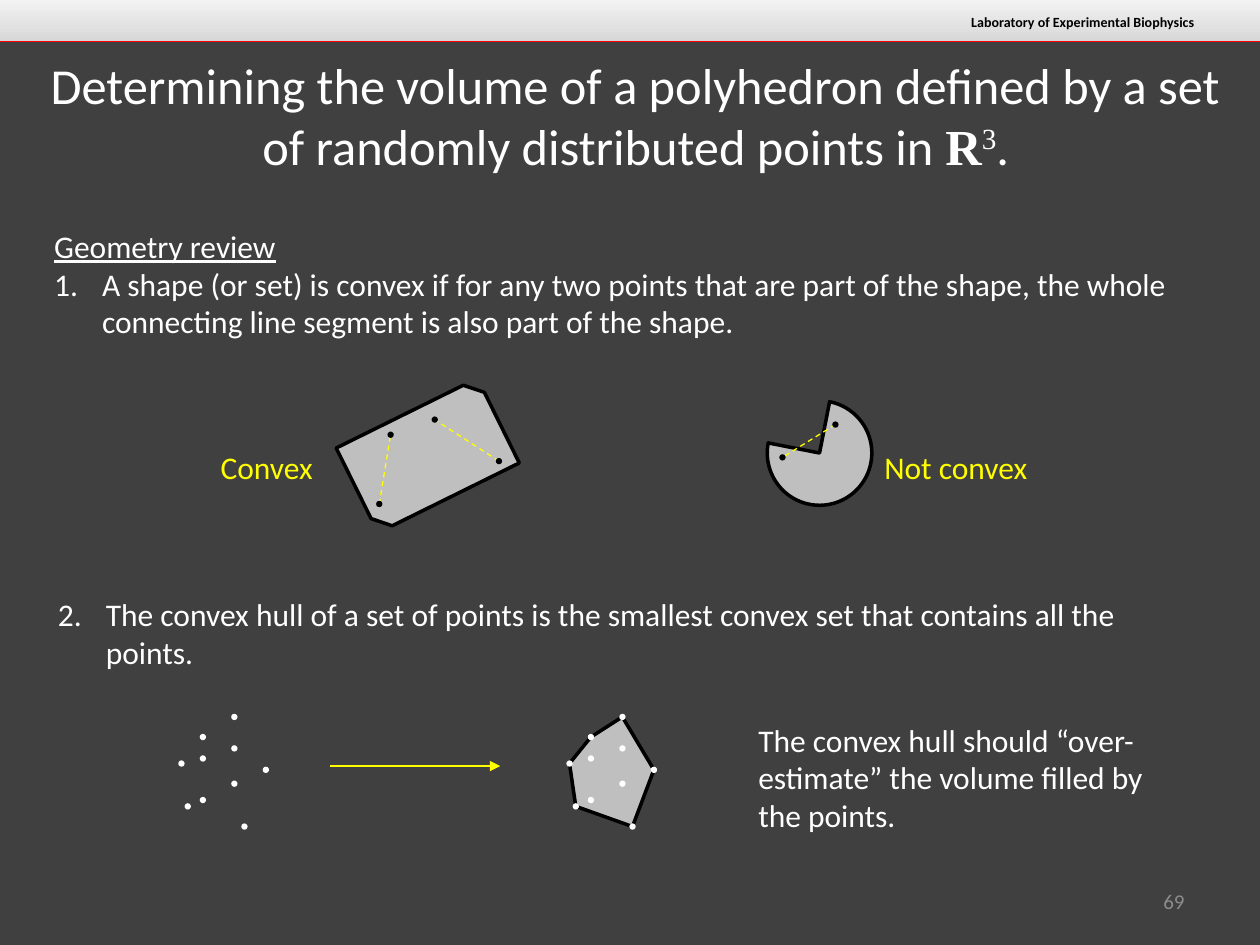
from pptx import Presentation
from pptx.dml.color import RGBColor
from pptx.enum.dml import MSO_LINE
from pptx.enum.shapes import MSO_CONNECTOR, MSO_SHAPE
from pptx.enum.text import MSO_ANCHOR, PP_ALIGN
from pptx.oxml import parse_xml
from pptx.oxml.ns import nsdecls, qn
from pptx.util import Inches, Pt

WHITE, BLACK, YELLOW, GRAY = "FFFFFF", "000000", "FFFF00", "BFBFBF"
CLOUD = [(1.44, 6.06), (1.61, 5.85), (1.86, 5.69), (2.11, 6.11), (1.94, 6.56),
         (1.49, 6.4), (1.86, 6.22), (1.61, 6.02), (1.86, 5.94), (1.61, 6.35)]
HULL_SIZE = 6
HULL_SHIFT = 3.08


def color(value):
    """Turn a hex string into a colour."""
    return RGBColor.from_string(value)


def element(tag, attributes="", content=""):
    """Build a DrawingML element."""
    return parse_xml(f'<a:{tag} {nsdecls("a")} {attributes}>{content}</a:{tag}>')


def place(shape, left, top, width, height):
    """Set the position and size of a shape."""
    shape.left, shape.top = Inches(left), Inches(top)
    shape.width, shape.height = Inches(width), Inches(height)


def add_run(paragraph, text, size=18, fill=WHITE, font="Calibri", bold=False):
    """Append a formatted run."""
    run = paragraph.add_run()
    run.text = text
    run.font.size = Pt(size)
    run.font.name = font
    run.font.bold = bold
    run.font.color.rgb = color(fill)
    return run


def add_label(slide, box, text, align=PP_ALIGN.LEFT, anchor=MSO_ANCHOR.TOP, **style):
    """Add a wrapped text box with one run."""
    shape = slide.shapes.add_textbox(*map(Inches, box))
    frame = shape.text_frame
    frame.word_wrap = True
    frame.vertical_anchor = anchor
    frame.paragraphs[0].alignment = align
    add_run(frame.paragraphs[0], text, **style)


def style_shape(shape, fill, outline=None):
    """Apply a flat fill and an optional outline."""
    shape.shadow.inherit = False
    shape.fill.solid()
    shape.fill.fore_color.rgb = color(fill)
    if outline:
        shape.line.color.rgb = color(outline)
        shape.line.width = Pt(2)
    else:
        shape.line.fill.background()


def add_figure(slide, kind, box, rotation):
    """Add a rotated gray preset shape."""
    shape = slide.shapes.add_shape(kind, *map(Inches, box))
    shape.rotation = rotation
    style_shape(shape, GRAY, BLACK)


def add_dot(slide, x, y, fill, diameter=0.05):
    """Add a dot centred on a point."""
    radius = diameter / 2
    box = (x - radius, y - radius, diameter, diameter)
    style_shape(slide.shapes.add_shape(MSO_SHAPE.OVAL, *map(Inches, box)), fill)


def add_line(slide, start, end, stroke, dashed=False, arrow=False):
    """Add a thin straight line."""
    line = slide.shapes.add_connector(MSO_CONNECTOR.STRAIGHT, *map(Inches, start + end))
    line.line.color.rgb = color(stroke)
    line.line.width = Pt(0.75)
    if dashed:
        line.line.dash_style = MSO_LINE.DASH
    if arrow:
        line.line._get_or_add_ln().append(element("tailEnd", 'type="triangle"'))
    line._element.spPr.append(element("effectLst"))


def add_segment(slide, start, end):
    """Add a dashed segment between two black dots."""
    add_line(slide, start, end, YELLOW, dashed=True)
    for point in (start, end):
        add_dot(slide, *point, BLACK)


def add_hull(slide, points):
    """Add a closed polygon through the points."""
    corners = [(Inches(x), Inches(y)) for x, y in points]
    builder = slide.shapes.build_freeform(*corners[0])
    builder.add_line_segments(corners[1:], close=True)
    style_shape(builder.convert_to_shape(), GRAY, BLACK)


def add_banner(slide):
    """Add the gradient banner with its caption and red rule."""
    banner = slide.shapes.add_shape(MSO_SHAPE.RECTANGLE, 0, 0, Inches(10), Inches(0.33))
    style_shape(banner, WHITE)
    banner.fill.gradient()
    banner.fill.gradient_angle = 90
    for stop, value, position in zip(banner.fill.gradient_stops, ("D8D8D8", "F2F2F2"), (0, 1)):
        stop.color.rgb = color(value)
        stop.position = position
    add_label(slide, (7.56, 0.06, 2.02, 0.24), "Laboratory of Experimental Biophysics",
              PP_ALIGN.RIGHT, size=8, fill=BLACK, bold=True)
    add_line(slide, (0, 0.33), (10, 0.33), "FF0000")


def fill_title(title):
    """Write the shadowed title."""
    place(title, 0.17, 0.38, 9.75, 0.62)
    title.text_frame.vertical_anchor = MSO_ANCHOR.TOP
    paragraph = title.text_frame.paragraphs[0]
    paragraph.alignment = PP_ALIGN.CENTER
    add_run(paragraph, "Determining the volume of a polyhedron defined by a set "
            "of randomly distributed points in ", 28.8)
    add_run(paragraph, "R", 28.8, font="Times New Roman", bold=True)
    exponent = add_run(paragraph, "3", 28.8, font="Times New Roman")
    exponent._r.get_or_add_rPr().set("baseline", "30000")
    add_run(paragraph, ".", 28.8)
    for run in paragraph.runs:
        shadow = element("effectLst", content='<a:outerShdw blurRad="38100" dist="38100" '
                         'dir="2700000"><a:srgbClr val="000000"><a:alpha val="60000"/>'
                         '</a:srgbClr></a:outerShdw>')
        run._r.get_or_add_rPr().find(qn("a:solidFill")).addnext(shadow)


def fill_list(body, box, text, number, heading=None):
    """Write a numbered item under an optional heading."""
    place(body, *box)
    frame = body.text_frame
    frame.vertical_anchor = MSO_ANCHOR.TOP
    paragraph = frame.paragraphs[0]
    if heading:
        properties = paragraph._p.get_or_add_pPr()
        properties.set("marL", "0")
        properties.set("indent", "0")
        properties.append(element("buNone"))
        paragraph.space_before = Pt(0)
        add_run(paragraph, heading).font.underline = True
        paragraph = frame.add_paragraph()
    properties = paragraph._p.get_or_add_pPr()
    properties.set("marL", str(Inches(0.38)))
    properties.set("indent", str(Inches(-0.38)))
    properties.append(element("buFont", 'typeface="+mj-lt"'))
    properties.append(element("buAutoNum", f'type="arabicPeriod" startAt="{number}"'))
    paragraph.space_before = Pt(0)
    add_run(paragraph, text)


def main():
    """Build and save the slide."""
    presentation = Presentation()
    presentation.slide_width, presentation.slide_height = Inches(10), Inches(7.5)
    slide = presentation.slides.add_slide(presentation.slide_layouts[3])
    slide.background.fill.solid()
    slide.background.fill.fore_color.rgb = color("404040")
    add_banner(slide)
    fill_title(slide.shapes.title)
    fill_list(slide.placeholders[1], (0.33, 1.75, 9.17, 1.01),
              "A shape (or set) is convex if for any two points that are part of the shape, "
              "the whole connecting line segment is also part of the shape.",
              1, "Geometry review")
    fill_list(slide.placeholders[2], (0.36, 4.67, 9.17, 0.71),
              "The convex hull of a set of points is the smallest convex set that contains "
              "all the points.", 2)

    add_figure(slide, MSO_SHAPE.SNIP_2_DIAG_RECTANGLE, (2.77, 3.24, 1.25, 0.75), 333.7)
    add_segment(slide, (3.96, 3.66), (3.45, 3.33))
    add_segment(slide, (3.01, 4), (3.1, 3.45))
    add_figure(slide, MSO_SHAPE.PIE, (6.09, 3.18, 0.83, 0.83), 281.1)
    add_segment(slide, (6.63, 3.37), (6.21, 3.63))
    add_label(slide, (1.25, 3.51, 1.33, 0.4), "Convex", PP_ALIGN.RIGHT, fill=YELLOW)
    add_label(slide, (6.92, 3.51, 1.5, 0.4), "Not convex", fill=YELLOW)

    shifted = [(x + HULL_SHIFT, y) for x, y in CLOUD]
    add_hull(slide, shifted[:HULL_SIZE])
    for point in CLOUD + shifted:
        add_dot(slide, *point, WHITE)
    add_line(slide, (2.62, 6.08), (3.97, 6.08), YELLOW, arrow=True)
    add_label(slide, (5.92, 5.67, 3.3, 1.01),
              "The convex hull should “over-estimate” the volume filled by the points.")
    add_label(slide, (7.17, 6.95, 2.33, 0.4), "69", PP_ALIGN.RIGHT, MSO_ANCHOR.MIDDLE,
              size=12, fill="8C8C8C")
    presentation.save("out.pptx")


if __name__ == "__main__":
    main()
